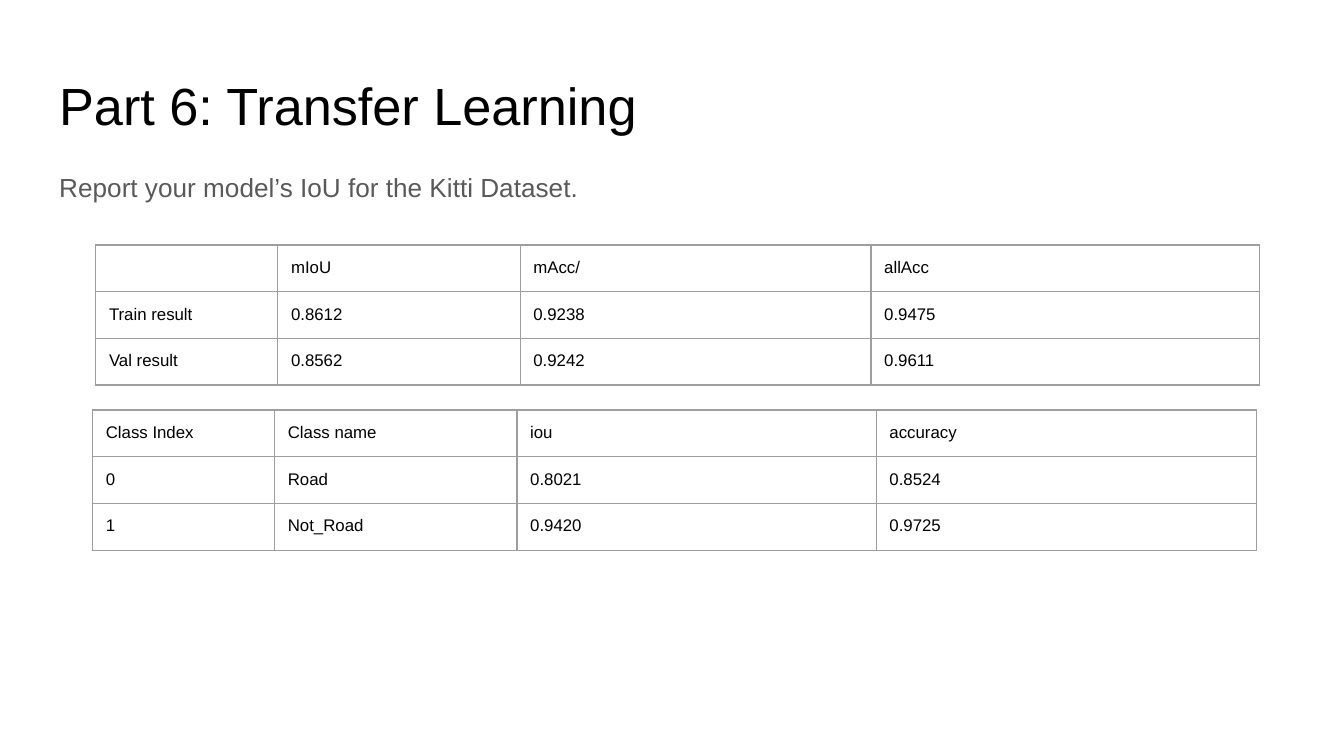
from lxml.etree import SubElement
from pptx import Presentation
from pptx.dml.color import RGBColor
from pptx.oxml.ns import qn
from pptx.util import Cm, Pt


def format_text(paragraph, size, color):
    for run in paragraph.runs:
        run.font.name = "Arial"
        run.font.size = Pt(size)
        run.font.color.rgb = RGBColor.from_string(color)


def add_border(cell, side, color):
    line = SubElement(cell._tc.get_or_add_tcPr(), qn(f"a:{side}"), w=str(Pt(0.75)))
    fill = SubElement(line, qn("a:solidFill"))
    SubElement(fill, qn("a:srgbClr"), val=color)


presentation = Presentation()
presentation.slide_width = Cm(25.4)
presentation.slide_height = Cm(14.29)
slide = presentation.slides.add_slide(presentation.slide_layouts[6])

texts = [
    ("Part 6: Transfer Learning", 1.14, 1.6, 28, "000000", 1.0),
    ("Report your model’s IoU for the Kitti Dataset.", 2.9, 1.83, 14, "595959", 1.15),
]
for text, top, height, size, color, spacing in texts:
    shape = slide.shapes.add_textbox(Cm(0.87), Cm(top), Cm(23.67), Cm(height))
    frame = shape.text_frame
    frame.word_wrap = True
    frame.margin_left = frame.margin_right = Cm(0.25)
    frame.margin_top = frame.margin_bottom = Cm(0.25)
    frame.text = text
    paragraph = frame.paragraphs[0]
    paragraph.line_spacing = spacing
    format_text(paragraph, size, color)

class_rows = [
    ["Class Index", "Class name", "iou", "accuracy"],
    ["0", "Road", "0.8021", "0.8524"],
    ["1", "Not_Road", "0.9420", "0.9725"],
]
result_rows = [
    ["", "mIoU", "mAcc/", "allAcc"],
    ["Train result", "0.8612", "0.9238", "0.9475"],
    ["Val result", "0.8562", "0.9242", "0.9611"],
]
tables = [
    (class_rows, 1.75, 7.75, [3.44, 4.58, 6.79, 7.19]),
    (result_rows, 1.81, 4.63, [3.44, 4.58, 6.63, 7.35]),
]
row_height = 0.86
for rows, left, top, widths in tables:
    shape = slide.shapes.add_table(
        len(rows), len(widths), Cm(left), Cm(top),
        Cm(sum(widths)), Cm(row_height * len(rows)),
    )
    table = shape.table
    table.first_row = False
    table.horz_banding = False
    for column, width in zip(table.columns, widths):
        column.width = Cm(width)
    for row, values in zip(table.rows, rows):
        row.height = Cm(row_height)
        for cell, value in zip(row.cells, values):
            cell.margin_left = cell.margin_right = Cm(0.25)
            cell.margin_top = cell.margin_bottom = Cm(0.25)
            for side in ("lnL", "lnR", "lnT", "lnB"):
                add_border(cell, side, "9E9E9E")
            cell.fill.background()
            cell.text_frame.text = value
            paragraph = cell.text_frame.paragraphs[0]
            format_text(paragraph, 9, "000000")
            if not value:
                SubElement(paragraph._p, qn("a:endParaRPr"), sz="900")

presentation.save("out.pptx")
